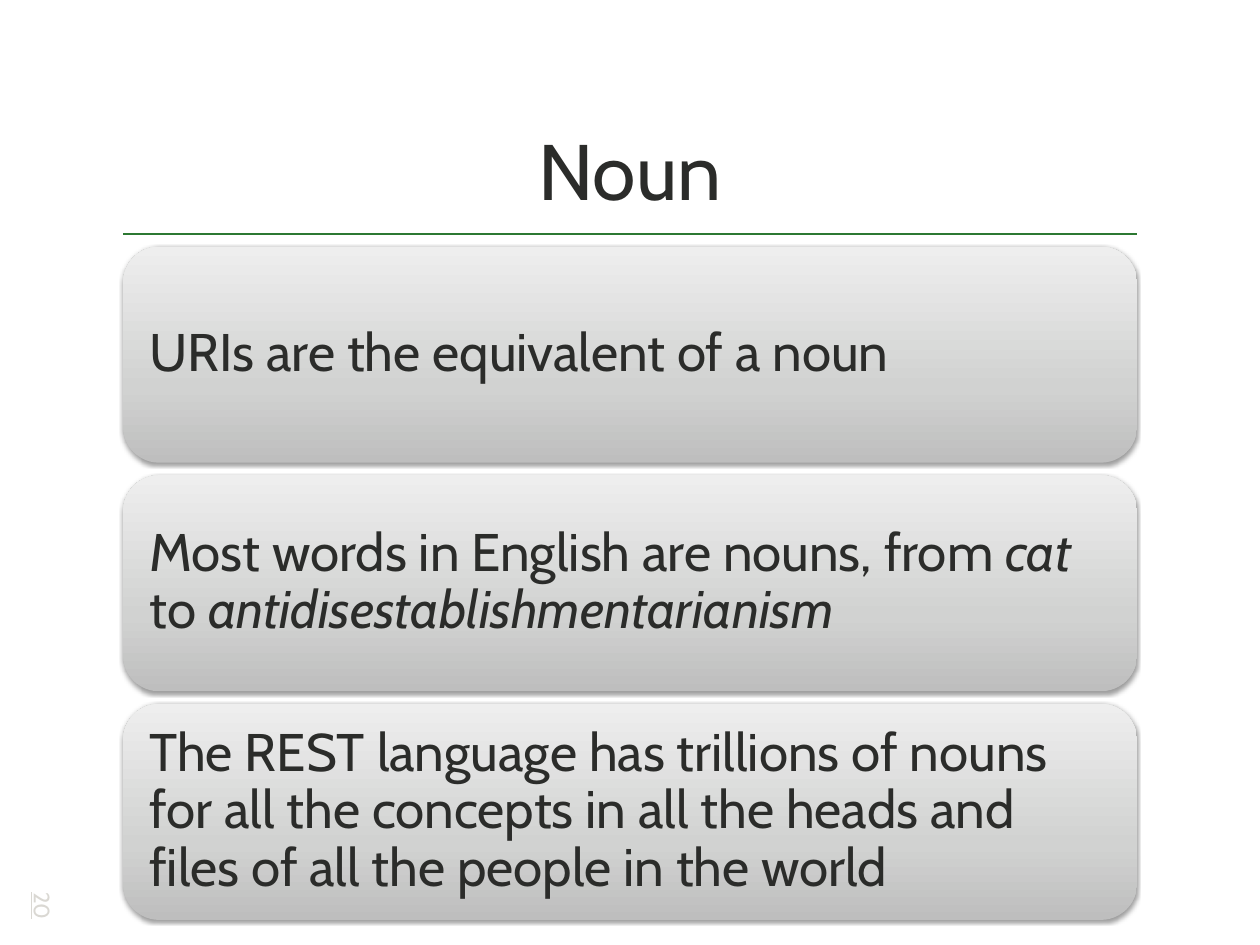
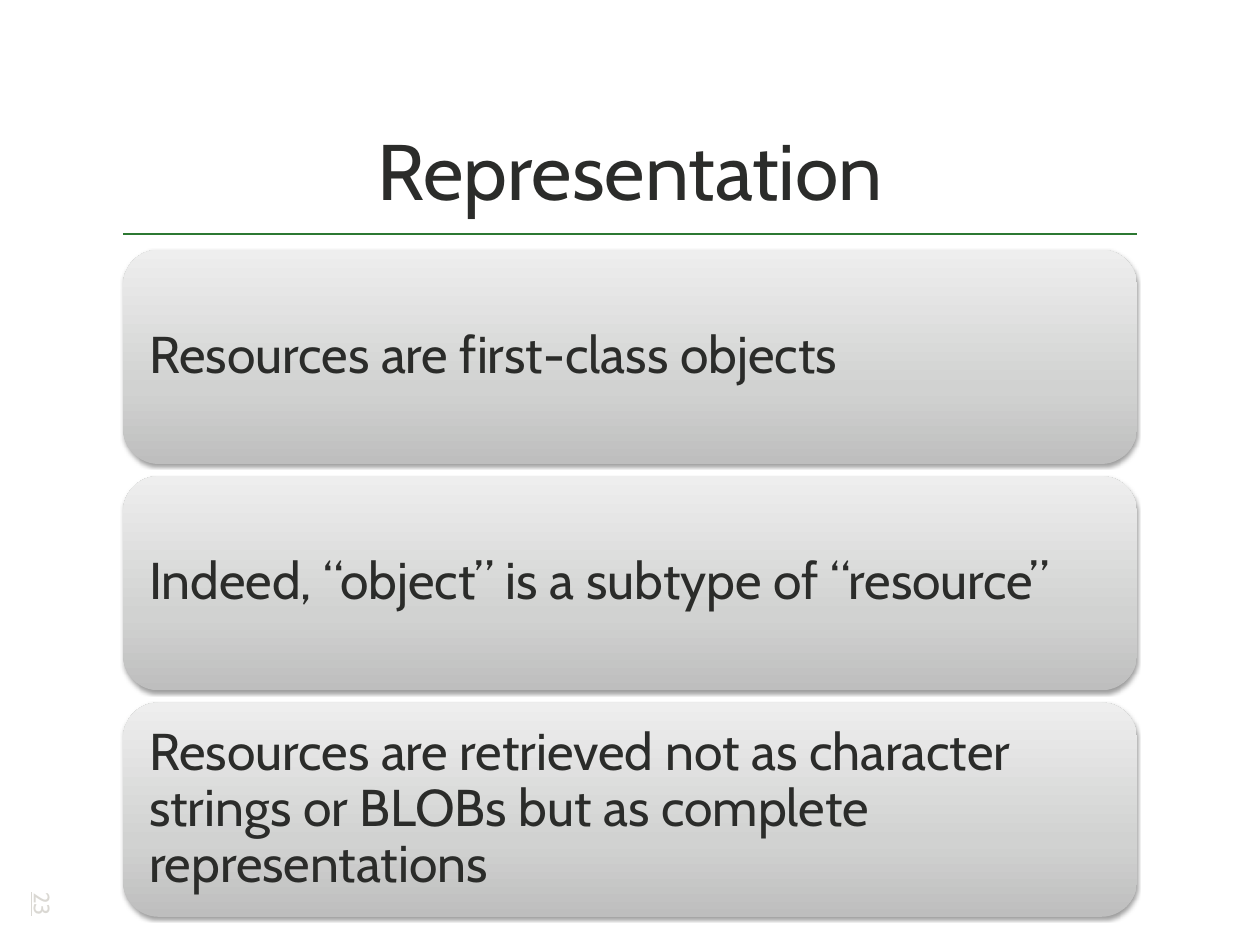
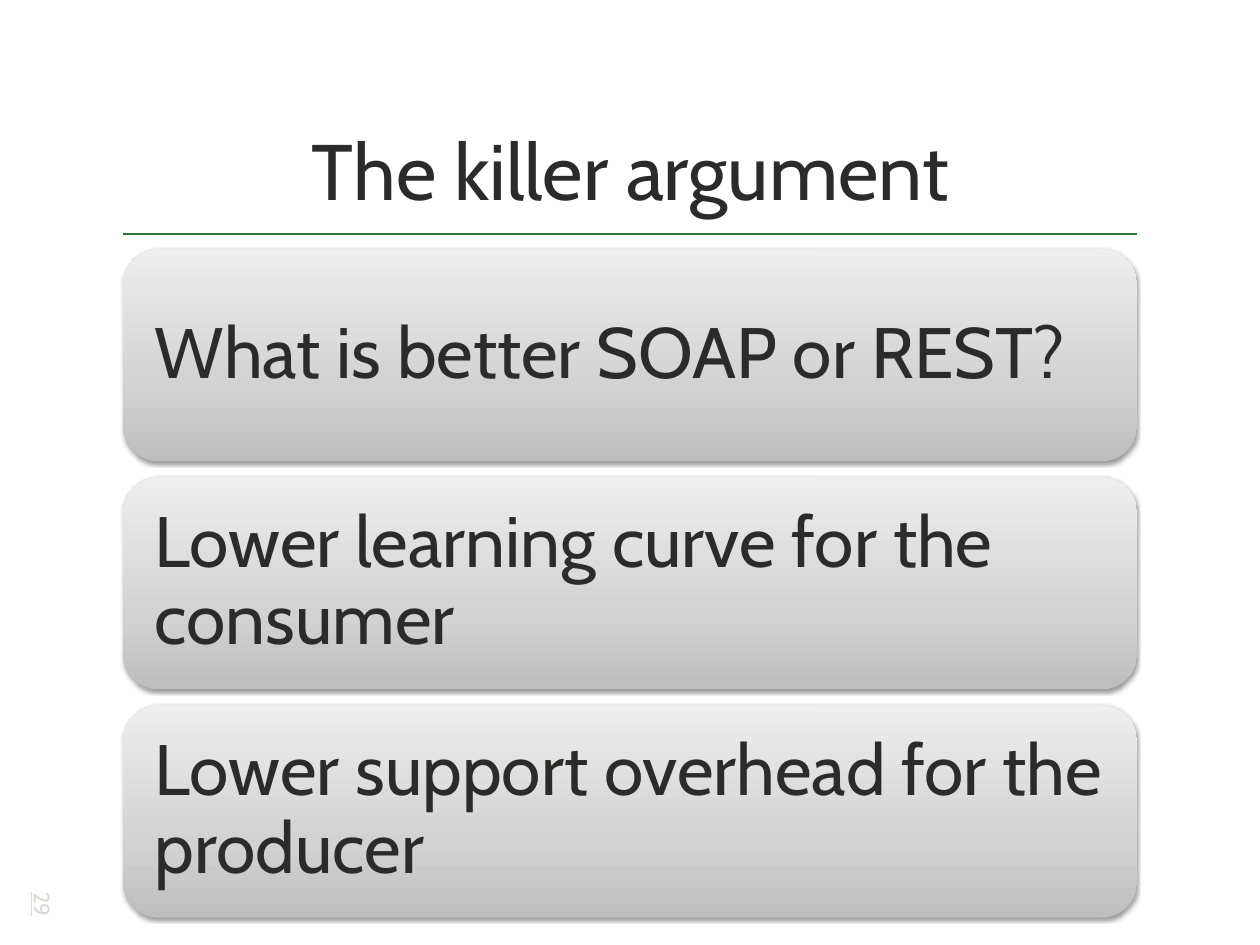
from collections import namedtuple

from pptx import Presentation
from pptx import util as u
from pptx.dml.color import RGBColor
from pptx.enum import shapes, text
from pptx.oxml import parse_xml
from pptx.oxml.ns import nsdecls

INK = RGBColor(0x2B, 0x2C, 0x2A)
GREEN = RGBColor(0x2C, 0x78, 0x32)
PALE = RGBColor(0xDA, 0xD8, 0xD3)
CARD_BOTTOM = RGBColor(0xBE, 0xBE, 0xBE)
CARD_MIDDLE = RGBColor(0xD1, 0xD2, 0xD1)
CARD_TOP = RGBColor(0xEE, 0xEE, 0xEE)
SHADOW = RGBColor(0, 0, 0)

Box = namedtuple("Box", "left top width height")
PAGE = Box(0, 0, 1024, 768)
TITLE = Box(100, 20, 824, 160)
BODY = Box(100, 200, 824, 548)
NUMBER = Box(20, 726, 30, 28)
RULE_GAP = 10

FONT = "Cabin"
TITLE_FONT = {"name": FONT, "size": u.Pt(64)}
NUMBER_FONT = {"name": FONT, "size": u.Pt(18), "underline": True}

CARD_FILL = f"""<a:gradFill {nsdecls('a')} rotWithShape="1"><a:gsLst>
<a:gs pos="0"><a:srgbClr val="{CARD_BOTTOM}"/></a:gs>
<a:gs pos="35000"><a:srgbClr val="{CARD_MIDDLE}"/></a:gs>
<a:gs pos="100000"><a:srgbClr val="{CARD_TOP}"/></a:gs>
</a:gsLst><a:lin ang="16200000" scaled="0"/></a:gradFill>"""
CARD_SHADOW = f"""<a:effectLst {nsdecls('a')}>
<a:outerShdw blurRad="{u.Pt(3.1)}" dist="{u.Pt(1.6)}" dir="5400000" rotWithShape="0">
<a:srgbClr val="{SHADOW}"><a:alpha val="38000"/></a:srgbClr>
</a:outerShdw></a:effectLst>"""
NO_EFFECT = f"<a:effectLst {nsdecls('a')}/>"

SLIDES = [
    {
        "title": "Noun", "number": "20", "size": 43, "height": 175.6, "gap": 10.2,
        "cards": [
            ["URIs are the equivalent of a noun"],
            ["Most words in English are nouns, from ", "cat", " to ",
             "antidisestablishmentarianism"],
            ["The REST language has trillions of nouns for all the concepts "
             "in all the heads and files of all the people in the world"],
        ],
    },
    {
        "title": "Representation", "number": "23", "size": 42, "height": 174.2, "gap": 9.8,
        "cards": [
            ["Resources are first-class objects"],
            ["Indeed, “object” is a subtype of “resource”"],
            ["Resources are retrieved not as character strings or BLOBs "
             "but as complete representations"],
        ],
    },
    {
        "title": "The killer argument", "number": "29", "size": 58, "height": 172.6, "gap": 12.8,
        "cards": [
            ["What is better SOAP or REST?"],
            ["Lower learning curve for the consumer"],
            ["Lower support overhead for the producer"],
        ],
    },
]


def set_all(target, values):
    for name, value in values.items():
        setattr(target, name, value)


def points(box):
    return [u.Pt(value) for value in box]


def write(frame, pieces, font, color, align, anchor, across, down):
    set_all(frame, {
        "word_wrap": True, "vertical_anchor": anchor,
        "margin_left": u.Pt(across), "margin_right": u.Pt(across),
        "margin_top": u.Pt(down), "margin_bottom": u.Pt(down),
    })
    para = frame.paragraphs[0]
    para.alignment = align
    for index, piece in enumerate(pieces):
        span = para.add_run()
        span.text = piece
        set_all(span.font, {**font, "italic": index % 2 == 1})
        span.font.color.rgb = color
    return para


def add_title(page, box, title):
    heading = page.shapes.add_textbox(*points(box))
    write(heading.text_frame, [title], TITLE_FONT, INK,
          text.PP_ALIGN.CENTER, text.MSO_ANCHOR.BOTTOM, 4.5, 4.5)
    level = u.Pt(box.top + box.height + RULE_GAP)
    rule = page.shapes.add_connector(
        shapes.MSO_CONNECTOR.STRAIGHT,
        u.Pt(box.left), level, u.Pt(box.left + box.width), level)
    rule.line.color.rgb = GREEN
    rule.line.width = u.Pt(2)
    rule._element.spPr.append(parse_xml(NO_EFFECT))


def add_card(page, box, pieces, size):
    card = page.shapes.add_shape(shapes.MSO_SHAPE.ROUNDED_RECTANGLE, *points(box))
    properties = card._element.spPr
    properties.append(parse_xml(CARD_FILL))
    card.line.fill.background()
    properties.append(parse_xml(CARD_SHADOW))
    inset = round(size * 0.3, 2)
    para = write(card.text_frame, pieces, {"name": FONT, "size": u.Pt(size)}, INK,
                 text.PP_ALIGN.LEFT, text.MSO_ANCHOR.MIDDLE, inset, inset)
    para.line_spacing = 0.9


def add_cards(page, box, cards, size, height, gap):
    pitch = height + gap
    stack = len(cards) * pitch - gap
    top = box.top + (box.height - stack) / 2
    for index, pieces in enumerate(cards):
        add_card(page, Box(box.left, top + index * pitch, box.width, height), pieces, size)


def add_number(page, box, number):
    label = page.shapes.add_textbox(*points(box))
    label.rotation = 90
    write(label.text_frame, [number], NUMBER_FONT, PALE,
          text.PP_ALIGN.LEFT, text.MSO_ANCHOR.TOP, 0, 3.6)


def main():
    deck = Presentation()
    set_all(deck, {"slide_width": u.Pt(PAGE.width), "slide_height": u.Pt(PAGE.height)})
    for content in SLIDES:
        page = deck.slides.add_slide(deck.slide_layouts[6])
        add_title(page, TITLE, content["title"])
        add_cards(page, BODY, content["cards"], content["size"],
                  content["height"], content["gap"])
        add_number(page, NUMBER, content["number"])
    deck.save("out.pptx")


if __name__ == "__main__":
    main()
